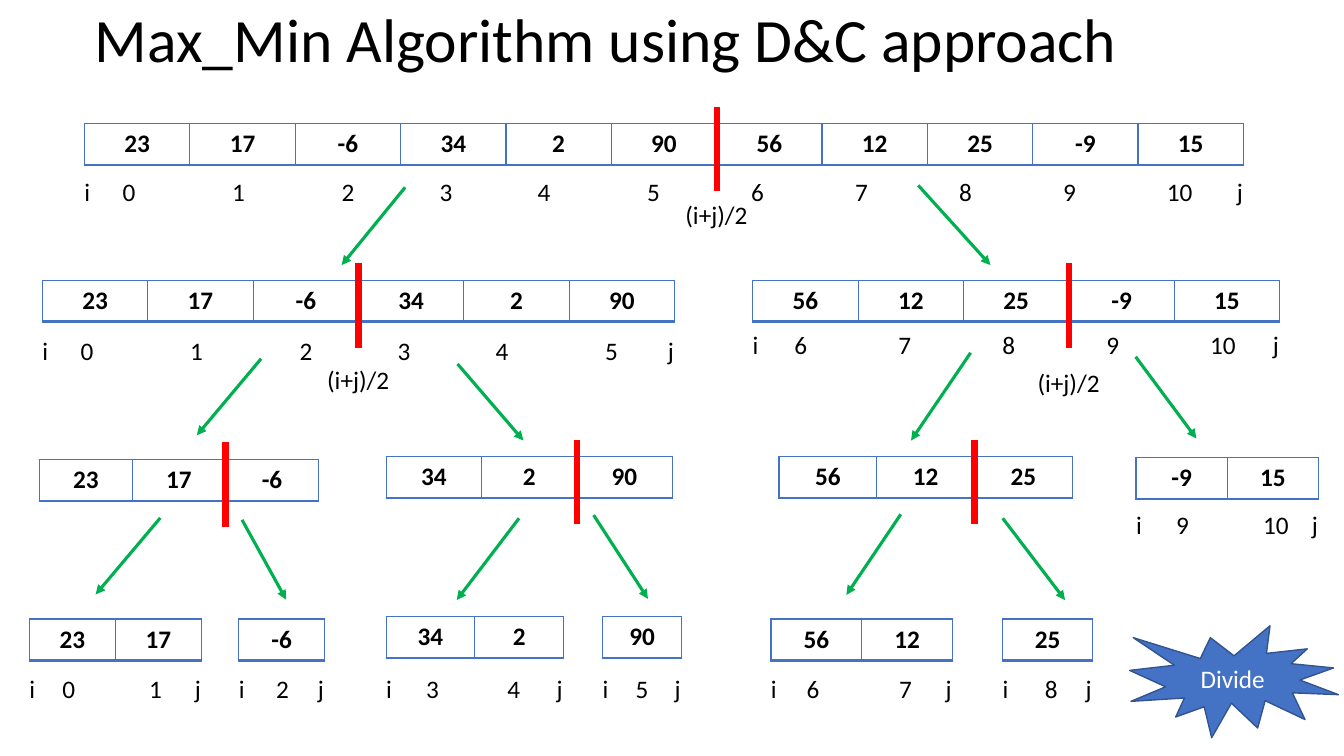
from dataclasses import dataclass
from itertools import accumulate

from lxml.etree import SubElement
from pptx import Presentation
from pptx.dml.color import RGBColor as RGB
from pptx.enum.shapes import MSO_CONNECTOR as Connector, MSO_SHAPE as Shape
from pptx.enum.text import MSO_ANCHOR as Anchor, MSO_AUTO_SIZE as AutoSize, PP_ALIGN as Align
from pptx.oxml.ns import qn
from pptx.util import Cm, Pt


@dataclass(frozen=True)
class Theme:
    """Colours, font and type sizes of the slide."""
    font: str = "Calibri"
    ink: str = "000000"
    paper: str = "FFFFFF"
    blue: str = "4472C4"
    navy: str = "325491"
    green: str = "00B050"
    red: str = "FF0000"
    title: int = 44
    body: int = 18


@dataclass(frozen=True)
class Segment:
    """A run of the array, its place in cm, and the parts hung on it."""
    left: float
    top: float
    width: float
    first: int
    last: int
    lead: float = 0
    drop: float = 0
    step: float = 0
    cut: int = 0
    middle_drop: float = 0
    arrows: tuple = ()


THEME = Theme()
NUMBERS = (23, 17, -6, 34, 2, 90, 56, 12, 25, -9, 15)
INDEX_STEPS = (2.76, 2.76, 2.47, 2.47, 2.76) + (2.62,) * 5
CELL_HEIGHT = 1.04
BORDERS = {"a:lnL": 1, "a:lnR": 1, "a:lnT": 1, "a:lnB": 2}

SEGMENTS = (
    Segment(2.13, 3.12, 29.21, 0, 10, lead=0.71, drop=1.2, cut=6, middle_drop=1.78,
            arrows=((8.08, 1.6, 6.48, 3.56), (21.01, 1.55, 22.83, 3.56))),
    Segment(1.07, 7.06, 15.93, 0, 5, lead=0.71, drop=1.27, cut=3, middle_drop=2,
            arrows=((5.51, 1.98, 3.89, 3.91), (10.46, 2.11, 12.12, 4.04))),
    Segment(18.97, 7.06, 13.28, 6, 10, lead=0.8, drop=1.12, cut=3, middle_drop=2.08,
            arrows=((5.49, 1.83, 3.99, 4.04), (9.65, 1.93, 11.18, 3.99))),
    Segment(0.99, 11.58, 7.04, 0, 2, cut=2,
            arrows=((3.05, 1.47, 1.42, 3.4), (5.11, 1.52, 6.22, 3.53))),
    Segment(9.73, 11.51, 7.21, 3, 5, cut=2,
            arrows=((3.35, 1.55, 1.78, 3.61), (5.23, 1.47, 6.6, 3.58))),
    Segment(19.63, 11.51, 7.39, 6, 8, cut=2,
            arrows=((3.07, 1.45, 1.7, 3.48), (5.64, 1.55, 7.21, 3.61))),
    Segment(28.63, 11.53, 4.6, 9, 10, lead=0.76, drop=1.17, step=2.19),
    Segment(0.74, 15.6, 4.34, 0, 1, lead=0.58, drop=1.24, step=2.19),
    Segment(6.02, 15.6, 2.16, 2, 2, lead=0.69, drop=1.24),
    Segment(9.73, 15.54, 4.47, 3, 4, lead=0.76, drop=1.3, step=2.05),
    Segment(15.19, 15.54, 1.98, 5, 5, lead=0.58, drop=1.3),
    Segment(19.43, 15.6, 4.57, 6, 7, lead=0.65, drop=1.24, step=2.33),
    Segment(25.27, 15.6, 2.26, 8, 8, lead=0.81, drop=1.24),
)


def set_text(frame, text, size=THEME.body, color=THEME.ink, bold=False, align=Align.LEFT):
    """Write one formatted paragraph into a text frame and return it."""
    frame.text = text
    paragraph = frame.paragraphs[0]
    paragraph.alignment = align
    font = paragraph.runs[0].font
    for name, value in {"name": THEME.font, "size": Pt(size), "bold": bold}.items():
        setattr(font, name, value)
    font.color.rgb = RGB.from_string(color)
    return paragraph


def add_label(slide, left, top, width, text):
    """Add a small wrapped label and return its paragraph."""
    frame = slide.shapes.add_textbox(Cm(left), Cm(top), Cm(width), Cm(1.03)).text_frame
    frame.word_wrap = True
    return set_text(frame, text)


def add_line(slide, start, end, color, weight, arrow=False):
    """Draw a straight line between two points, with an optional arrowhead."""
    line = slide.shapes.add_connector(Connector.STRAIGHT, *map(Cm, start + end))
    line.line.color.rgb = RGB.from_string(color)
    line.line.width = Pt(weight)
    if arrow:
        SubElement(line.line._get_or_add_ln(), qn("a:tailEnd"), type="triangle")
    SubElement(line._element.spPr, qn("a:effectLst"))


def add_cells(slide, segment):
    """Draw the row of array values."""
    values = NUMBERS[segment.first:segment.last + 1]
    table = slide.shapes.add_table(1, len(values), Cm(segment.left), Cm(segment.top),
                                   Cm(segment.width), Cm(CELL_HEIGHT)).table
    table.first_row = table.horz_banding = False
    for cell, value in zip(table.iter_cells(), values):
        set_text(cell.text_frame, str(value), bold=True, align=Align.CENTER)
        properties = cell._tc.get_or_add_tcPr()
        for side, weight in BORDERS.items():
            border = SubElement(properties, qn(side), w=str(Pt(weight)))
            fill = SubElement(border, qn("a:solidFill"))
            SubElement(fill, qn("a:srgbClr"), val=THEME.blue)
        cell.fill.solid()
        cell.fill.fore_color.rgb = RGB.from_string(THEME.paper)


def add_indices(slide, segment):
    """Write i, the tabbed index row and j below the cells."""
    top = segment.top + segment.drop
    add_label(slide, segment.left - 0.25, top, 0.66, "i")
    add_label(slide, segment.left + segment.width - 0.42, top, 0.66, "j")
    steps = INDEX_STEPS[segment.first:segment.last]
    if segment.step:
        steps = (segment.step,) * len(steps)
    text = "\t".join(map(str, range(segment.first, segment.last + 1)))
    row = add_label(slide, segment.left + segment.lead, top, sum(steps) + 1.3, text)
    if steps:
        stops = SubElement(row._p.get_or_add_pPr(), qn("a:tabLst"))
        for position in accumulate(steps):
            SubElement(stops, qn("a:tab"), pos=str(Cm(position)), algn="l")


def add_segment(slide, segment):
    """Draw one segment with its indices, cut and arrows to its halves."""
    add_cells(slide, segment)
    if segment.drop:
        add_indices(slide, segment)
    if segment.cut:
        count = segment.last - segment.first + 1
        cut_x = segment.left + segment.width * segment.cut / count
        cut_top = segment.top - 0.43
        add_line(slide, (cut_x, cut_top), (cut_x, cut_top + 2.13), THEME.red, 4.5)
        if segment.middle_drop:
            add_label(slide, cut_x - 1.04, segment.top + segment.middle_drop, 2.11, "(i+j)/2")
    for x1, y1, x2, y2 in segment.arrows:
        add_line(slide, (segment.left + x1, segment.top + y1),
                 (segment.left + x2, segment.top + y2), THEME.green, 2.25, arrow=True)


def add_title(slide, left, top, width, height):
    """Place and format the title placeholder."""
    title = slide.shapes.title
    box = {"left": left, "top": top, "width": width, "height": height}
    for name, value in box.items():
        setattr(title, name, Cm(value))
    frame = title.text_frame
    for name, value in {"vertical_anchor": Anchor.MIDDLE, "auto_size": AutoSize.NONE,
                        "word_wrap": True}.items():
        setattr(frame, name, value)
    heading = set_text(frame, "Max_Min Algorithm using D&C approach", THEME.title)
    heading.line_spacing = 0.9


def add_badge(slide, left, top, width, height):
    """Draw the starburst naming the phase."""
    badge = slide.shapes.add_shape(Shape.EXPLOSION1, *map(Cm, (left, top, width, height)))
    badge.shadow.inherit = False
    badge.fill.solid()
    badge.fill.fore_color.rgb = RGB.from_string(THEME.blue)
    badge.line.color.rgb = RGB.from_string(THEME.navy)
    badge.line.width = Pt(1)
    badge.text_frame.vertical_anchor = Anchor.MIDDLE
    set_text(badge.text_frame, "Divide", color=THEME.paper, align=Align.CENTER)


def main():
    """Build the divide-phase slide and save it."""
    deck = Presentation()
    deck.slide_width, deck.slide_height = Cm(33.87), Cm(19.05)
    slide = deck.slides.add_slide(deck.slide_layouts[5])
    add_title(slide, 2.13, -0.41, 29.21, 2.95)
    for segment in SEGMENTS:
        add_segment(slide, segment)
    add_badge(slide, 28.47, 15.77, 5.26, 2.82)
    deck.save("out.pptx")


if __name__ == "__main__":
    main()
